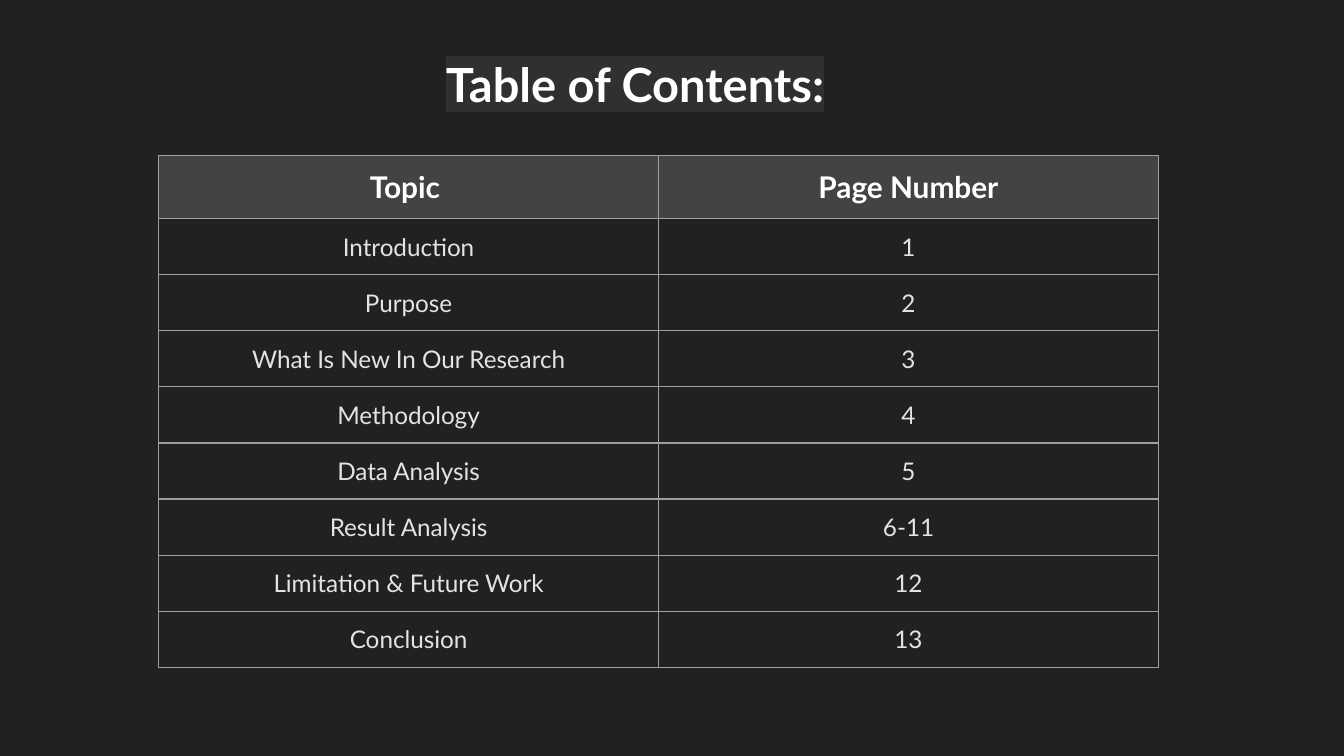
"""Build a dark table of contents slide."""
from lxml import etree
from pptx import Presentation
from pptx.dml.color import RGBColor
from pptx.enum.text import MSO_ANCHOR, PP_ALIGN
from pptx.oxml.ns import qn
from pptx.util import Inches, Pt

MIDDLE, TOP = MSO_ANCHOR.MIDDLE, MSO_ANCHOR.TOP
CENTER, LEFT = PP_ALIGN.CENTER, PP_ALIGN.LEFT
COLORS = {"back": "212121", "glow": "303030", "head": "434343",
          "rule": "9E9E9E", "white": "FFFFFF", "body": "E3E3E3"}
ROWS = [("Topic ", "Page Number"), ("Introduction", "1"), ("Purpose", "2"),
        ("What Is New In Our Research", "3"), ("Methodology", "4"),
        ("Data Analysis", "5"), ("Result Analysis", "6-11"),
        ("Limitation & Future Work", "12"), ("Conclusion", "13")]


def shade(fill, color):
    fill.solid()
    fill.fore_color.rgb = RGBColor.from_string(COLORS[color])


def write(frame, text, size, color, glow, bold, align):
    frame.text = text
    line = frame.paragraphs[0]
    line.alignment = align
    run = line.runs[0]
    font = run.font
    font.name, font.size, font.bold = "Lato", Pt(size), bold
    shade(font.fill, color)
    mark = etree.Element(qn("a:highlight"))
    etree.SubElement(mark, qn("a:srgbClr"), val=COLORS[glow])
    run._r.rPr.find(qn("a:solidFill")).addnext(mark)


deck = Presentation()
W = Inches(10)
H = W * 9 // 16
PAD = W // 100
deck.slide_width, deck.slide_height = W, H
slide = deck.slides.add_slide(deck.slide_layouts[6])
shade(slide.background.fill, "back")

title = slide.shapes.add_textbox(
    Inches(3.22), Inches(0.31), Inches(3.4), Inches(0.6))
shade(title.fill, "back")
frame = title.text_frame
frame.word_wrap = True
frame.vertical_anchor = TOP
frame.margin_left = frame.margin_right = PAD
frame.margin_top = frame.margin_bottom = PAD
write(frame, "Table of Contents:", 25.2, "white", "glow", True, LEFT)

wide, high = Inches(3.72), Inches(0.33)
grid = slide.shapes.add_table(
    len(ROWS), 2, Inches(1.18), Inches(1.16), 2 * wide, len(ROWS) * high).table
grid.first_row = grid.horz_banding = False
for r, words in enumerate(ROWS):
    head = r == 0
    for c, text in enumerate(words):
        cell = grid.cell(r, c)
        cell.vertical_anchor = MIDDLE
        cell.margin_left = cell.margin_right = PAD
        cell.margin_top = cell.margin_bottom = PAD
        for side in ("lnL", "lnR", "lnT", "lnB"):
            edge = etree.SubElement(
                cell._tc.get_or_add_tcPr(), qn("a:" + side), w=str(Pt(0.75)))
            rule = etree.SubElement(edge, qn("a:solidFill"))
            etree.SubElement(rule, qn("a:srgbClr"), val=COLORS["rule"])
        if head:
            shade(cell.fill, "head")
            write(cell.text_frame, text, 16, "white", "head", True, CENTER)
        else:
            cell.fill.background()
            write(cell.text_frame, text, 13, "body", "back", False, CENTER)

deck.save("out.pptx")
